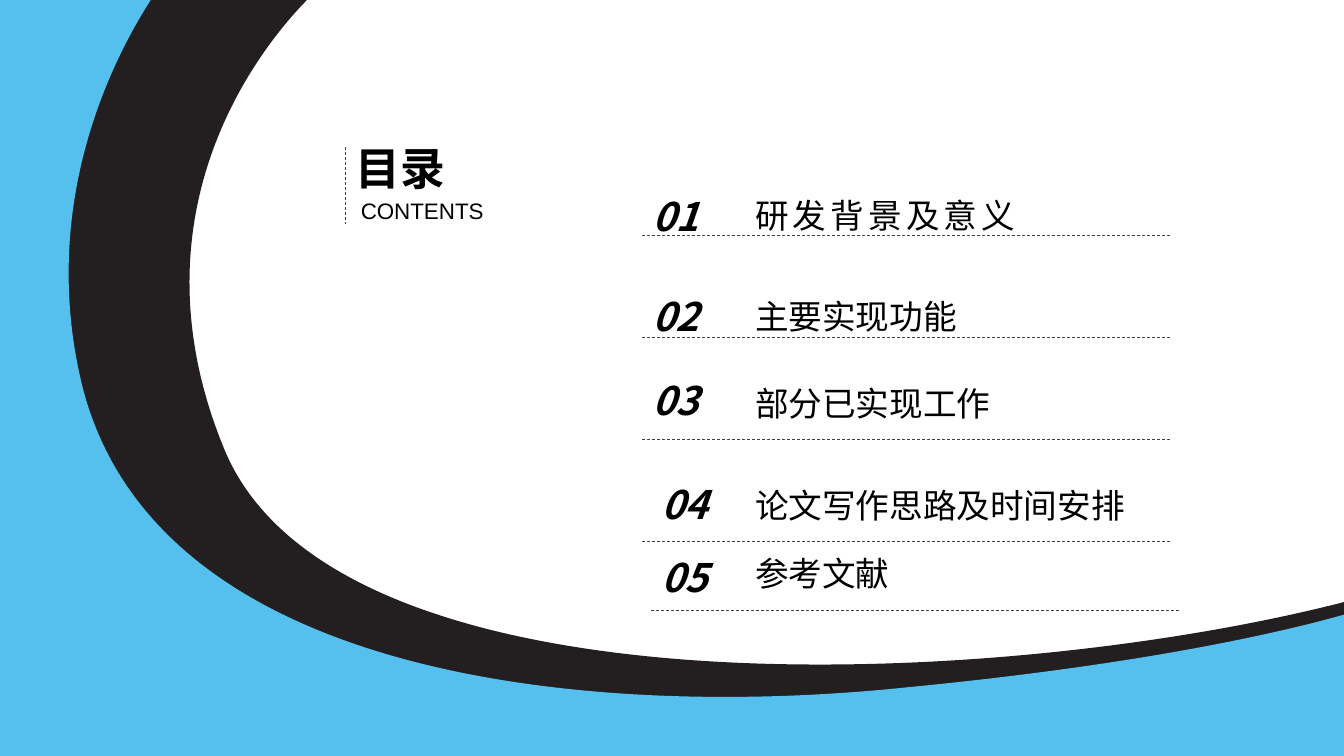
from pptx import Presentation
from pptx.dml.color import RGBColor
from pptx.enum.dml import MSO_LINE
from pptx.enum.shapes import MSO_CONNECTOR
from pptx.enum.text import MSO_AUTO_SIZE, PP_ALIGN
from pptx.oxml.ns import qn
from pptx.util import Pt

DASH = MSO_LINE.DASH
STRAIGHT = MSO_CONNECTOR.STRAIGHT
GROW = MSO_AUTO_SIZE.SHAPE_TO_FIT_TEXT
JUSTIFY = PP_ALIGN.JUSTIFY
PX = 9144  # 100 px to the inch
SANS, HAN = "Arial", "Noto Sans CJK SC"
COLORS = {"dark": "231F20", "blue": "55C0EE", "text": "000000", "rule": "404040"}

# Content: number, its left and top, topic, its top and width, letter gap
TOPICS = [
    ("01", 637, 186, "研发背景及意义", 188, 364, 3),
    ("02", 637, 285, "主要实现功能", 289, 364, 0),
    ("03", 637, 368, "部分已实现工作", 375, 364, 0),
    ("04", 646, 472, "论文写作思路及时间安排", 476, 432, 0),
    ("05", 646, 544, "参考文献", 544, 364, 0),
]
TOPIC_X = 739
RULE_X, RULE_Y, RULE_W, RULE_GAP = 637, 234, 525, 101
LAST_RULE = (646, 606)

# Swooshes: start point, then Bezier curves (two handles, end) or line ends
SWOOSHES = [
    ("dark", (316, -11), [
        [(316, -11), (107, 168), (223, 447)],
        [(348, 744), (1137, 673), (1420, 571)],
        [(1305, 659)],
        [(1305, 659), (430, 816), (150, 641)],
        [(-131, 468), (28, -13), (162, -60)],
        [(294, -108), (316, -11), (316, -11)],
    ]),
    ("blue", (174, -34), [
        [(174, -34), (26, 139), (80, 376)],
        [(149, 677), (593, 714), (899, 682)],
        [(1241, 649), (1377, 596), (1377, 596)],
        [(1355, 790)],
        [(-89, 774)],
        [(-87, -20)],
    ]),
]

# Text formats
TITLE = {"name": SANS, "size": Pt(32), "bold": True}
LABEL = {"name": SANS, "size": Pt(16)}
NUMBER = {"name": HAN, "size": Pt(28), "bold": True, "italic": True}
TOPIC = {"name": HAN, "size": Pt(24)}

deck = Presentation()
deck.slide_width, deck.slide_height = 1333 * PX, 750 * PX
slide = deck.slides.add_slide(deck.slide_layouts[6])
shapes = slide.shapes


def color(key):
    return RGBColor.from_string(COLORS[key])


def add_swoosh(key, start, parts):
    form = shapes.build_freeform(*start, scale=PX)
    form.add_line_segments([dot for part in parts for dot in part], close=True)
    shape = form.convert_to_shape()
    shape.shadow.inherit = False
    shape.fill.solid()
    shape.fill.fore_color.rgb = color(key)
    shape.line.fill.background()
    # Join each three points into one Bezier curve
    lines = iter(list(shape._element.iter(qn("a:lnTo"))))
    for part in parts:
        group = [next(lines) for _ in part]
        if len(group) == 3:
            bend = group[0].makeelement(qn("a:cubicBezTo"), {})
            group[0].addprevious(bend)
            for line in group:
                bend.append(line[0])
                line.getparent().remove(line)


def add_text(words, x, y, w, h, style, gap=0, align=None):
    box = shapes.add_textbox(x * PX, y * PX, w * PX, h * PX)
    frame = box.text_frame
    frame.word_wrap = True
    frame.auto_size = GROW
    para = frame.paragraphs[0]
    para.alignment = align
    run = para.add_run()
    run.text = words
    for key, value in style.items():
        setattr(run.font, key, value)
    run.font.color.rgb = color("text")
    props = run.font._element
    props.append(props.makeelement(qn("a:ea"), {"typeface": style["name"]}))
    if gap:
        props.set("spc", str(gap * 100))


def add_rule(x, y, w, h):
    rule = shapes.add_connector(STRAIGHT, x * PX, y * PX, (x + w) * PX, (y + h) * PX)
    rule.line.color.rgb = color("rule")
    rule.line.width = Pt(0.5)
    rule.line.dash_style = DASH
    props = rule._element.spPr
    props.append(props.makeelement(qn("a:effectLst"), {}))


# Background
for swoosh in SWOOSHES:
    add_swoosh(*swoosh)

# Heading
add_text("目录", 343, 135, 214, 64, TITLE)
add_text("CONTENTS", 348, 191, 186, 37, LABEL, align=JUSTIFY)
add_rule(343, 146, 0, 76)

# Topic list
for i, (number, x, y, words, top, w, gap) in enumerate(TOPICS):
    last = i == len(TOPICS) - 1
    left, base = LAST_RULE if last else (RULE_X, RULE_Y + i * RULE_GAP)
    add_rule(left, base, RULE_W, 0)
    add_text(number, x, y, 80, 57, NUMBER)
    add_text(words, TOPIC_X, top, w, 50, TOPIC, gap)

deck.save("out.pptx")
